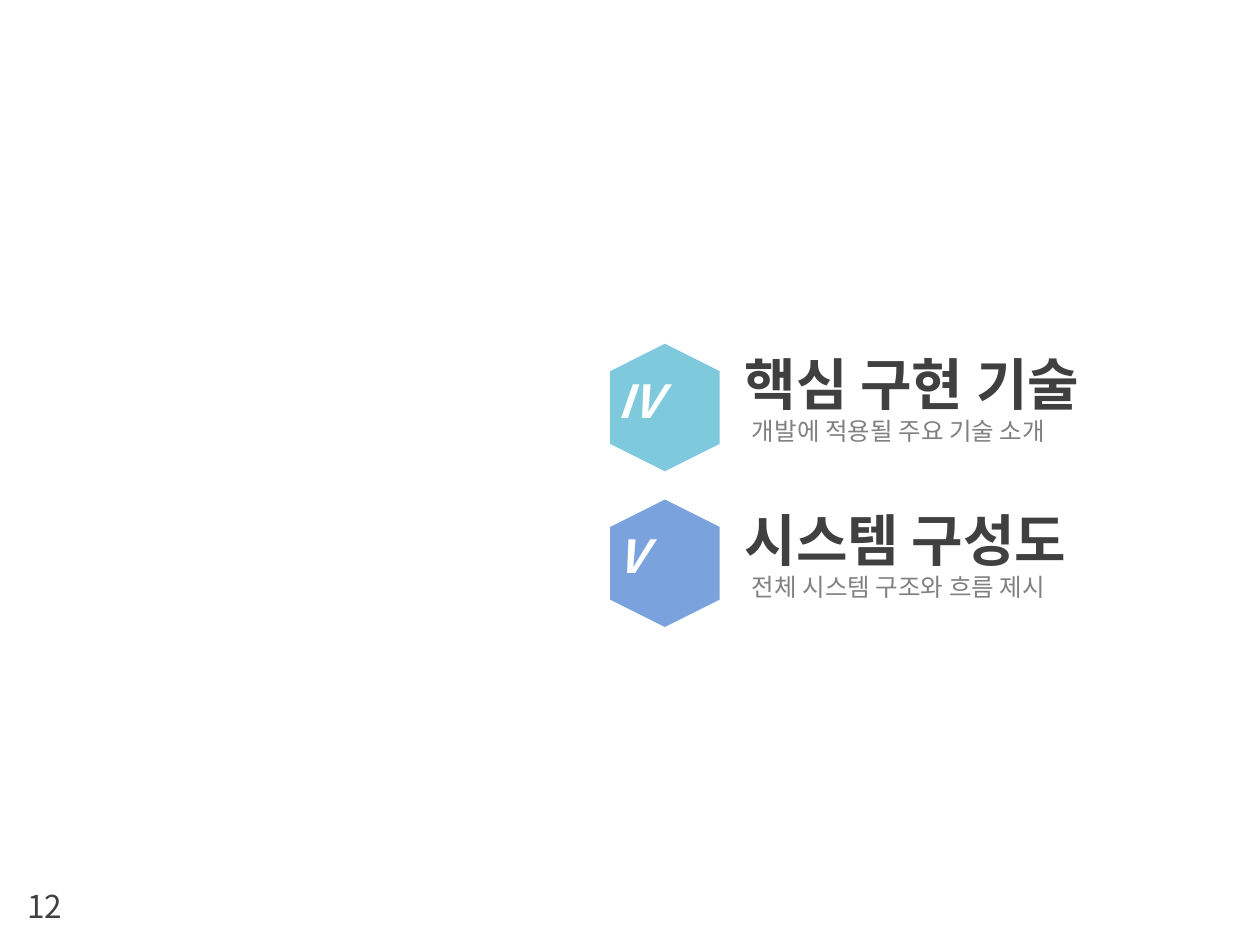
"""Build an agenda slide with two numbered topics."""
from lxml import etree
from pptx import Presentation
from pptx.dml.color import RGBColor
from pptx.enum.shapes import MSO_SHAPE
from pptx.enum.text import MSO_ANCHOR, MSO_AUTO_SIZE
from pptx.oxml.ns import qn
from pptx.util import Cm, Pt

HEXAGON = MSO_SHAPE.HEXAGON
TOP, MIDDLE = MSO_ANCHOR.TOP, MSO_ANCHOR.MIDDLE
GROW, FIXED = MSO_AUTO_SIZE.SHAPE_TO_FIT_TEXT, MSO_AUTO_SIZE.NONE
FACE = "Noto Sans CJK KR"
PITCH = 3.14
TOPICS = [
    ("IV", 1.52, "핵심 구현 기술", "개발에 적용될 주요 기술 소개", "7ECADC"),
    ("V", 1.22, "시스템 구성도", "전체 시스템 구조와 흐름 제시", "7AA2DC"),
]


def paint(color, value):
    """Set a fill's or font's color from a hex string."""
    color.rgb = RGBColor.from_string(value)


def add_text(shapes, text, box, size, color, bold=False, italic=False,
             wrap=True, fit=GROW, anchor=TOP, line=None):
    """Add a one-line text box; box holds left, top, width, height in cm."""
    frame = shapes.add_textbox(*map(Cm, box)).text_frame
    frame.word_wrap = wrap
    frame.auto_size = fit
    frame.vertical_anchor = anchor
    para = frame.paragraphs[0]
    if line:
        para.line_spacing = Pt(line)
    run = para.add_run()
    run.text = text
    font = run.font
    font.name, font.size = FACE, Pt(size)
    font.bold, font.italic = bold, italic
    paint(font.color, color)
    etree.SubElement(run._r.get_or_add_rPr(), qn("a:ea"), typeface=FACE)


def add_badge(shapes, box, color):
    """Add an upright hexagon."""
    badge = shapes.add_shape(HEXAGON, *map(Cm, box))
    badge.rotation = 270
    badge.shadow.inherit = False
    badge.fill.solid()
    paint(badge.fill.fore_color, color)
    badge.line.fill.background()


def add_topic(slide, shift, mark, width, title, note, color):
    """Add one grouped topic: badge, title, note and numeral."""
    shapes = slide.shapes.add_group_shape().shapes
    add_badge(shapes, (12.12, 7.11 + shift, 2.57, 2.21), color)
    add_text(shapes, title, (14.76, 6.93 + shift, 7.8, 1.63), 32, "404040",
             bold=True)
    add_text(shapes, note, (14.91, 8.43 + shift, 6.96, 0.69), 14, "808080",
             line=12)
    add_text(shapes, mark, (12.19, 7.39 + shift, width, 1.37), 26, "FFFFFF",
             bold=True, italic=True, wrap=False)


def main():
    """Build and save the slide."""
    deck = Presentation()
    deck.slide_width, deck.slide_height = Cm(25.4), Cm(19.05)
    slide = deck.slides.add_slide(deck.slide_layouts[6])
    for row, topic in enumerate(TOPICS):
        add_topic(slide, row * PITCH, *topic)
    add_text(slide.shapes, "12", (0.3, 17.86, 5.92, 0.81), 18, "404040",
             fit=FIXED, anchor=MIDDLE)
    deck.save("out.pptx")


if __name__ == "__main__":
    main()
